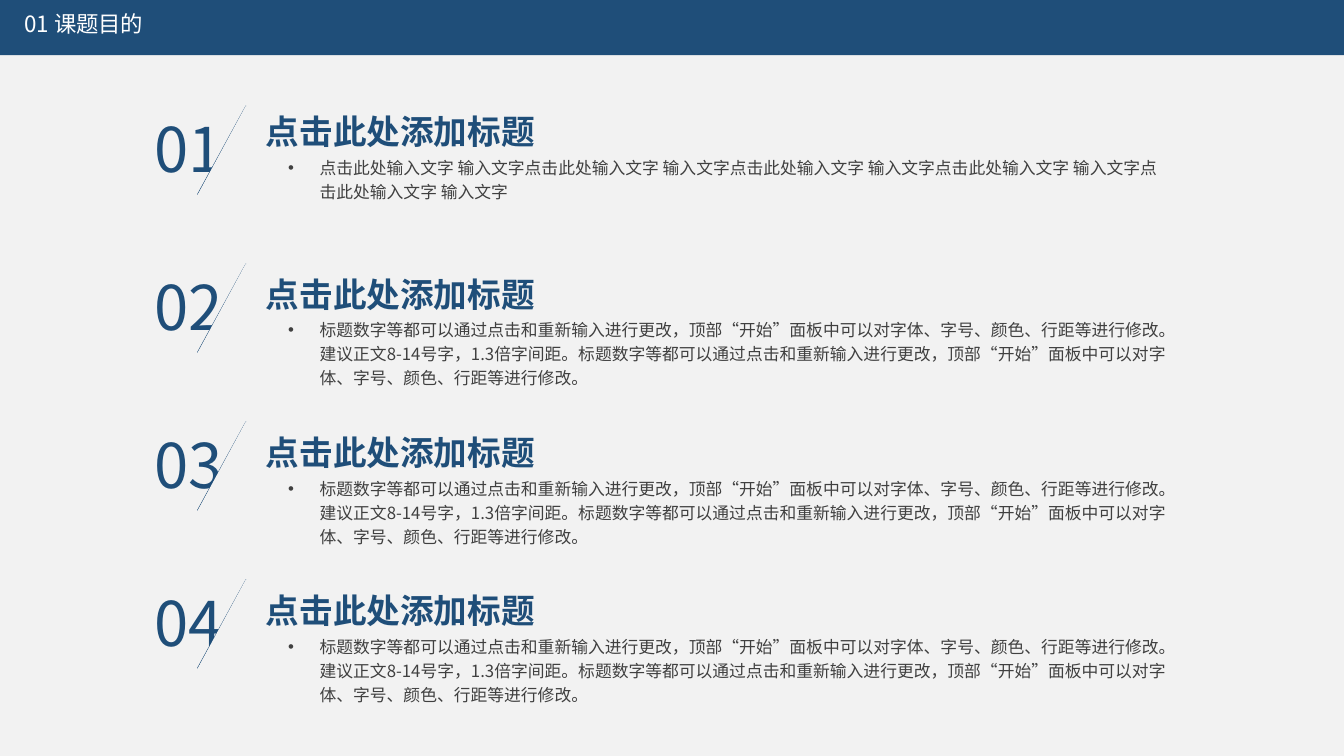
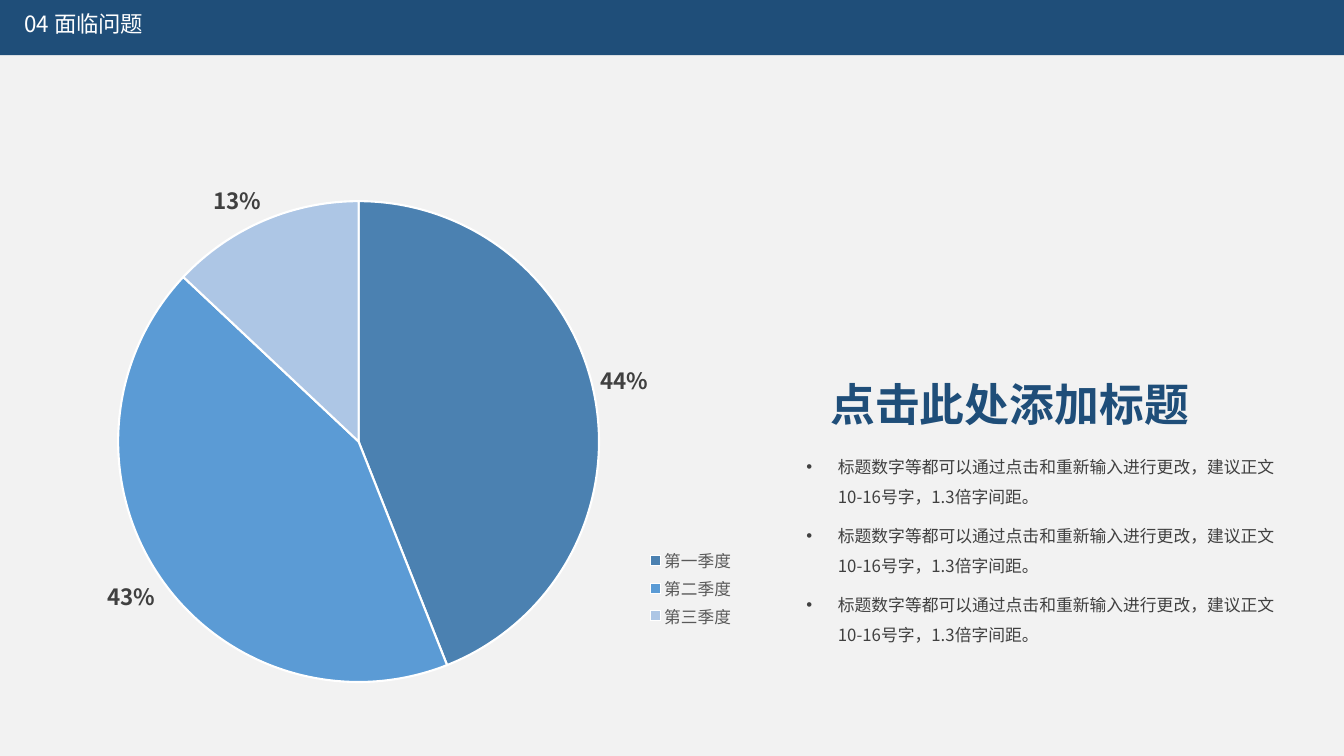
"""Build a two-slide research report deck: numbered goals and a quarterly pie chart."""
from dataclasses import dataclass
from math import cos, radians, sin

from lxml import etree
from pptx import Presentation
from pptx.chart.data import CategoryChartData
from pptx.dml.color import RGBColor
from pptx.enum.chart import XL_CHART_TYPE, XL_LABEL_POSITION, XL_LEGEND_POSITION
from pptx.enum.shapes import MSO_CONNECTOR, MSO_SHAPE
from pptx.enum.text import MSO_ANCHOR, MSO_AUTO_SIZE, PP_ALIGN
from pptx.oxml.ns import qn
from pptx.util import Pt

PIE = XL_CHART_TYPE.PIE
OUTSIDE_END = XL_LABEL_POSITION.OUTSIDE_END
LEGEND_RIGHT = XL_LEGEND_POSITION.RIGHT
STRAIGHT = MSO_CONNECTOR.STRAIGHT
RECTANGLE = MSO_SHAPE.RECTANGLE
TOP, MIDDLE = MSO_ANCHOR.TOP, MSO_ANCHOR.MIDDLE
FIT_SHAPE, NO_FIT = MSO_AUTO_SIZE.SHAPE_TO_FIT_TEXT, MSO_AUTO_SIZE.NONE
LEFT = PP_ALIGN.LEFT

WIDTH, HEIGHT = 960, 540
FONT = "Noto Sans CJK SC"
NAVY, PAPER, WHITE = "1F4E79", "F2F2F2", "FFFFFF"
INK, GREY = "404040", "595959"
BULLET_INDENT = 22.5
FIRST_TOP, ITEM_PITCH = 75.6, 112.8
MASK_ANGLE, MASK_HEIGHT = 28.4, 87.1
MASK_EDGE_LEFT, MASK_EDGE_DROP = 154.7, 38.4

HEADING = "点击此处添加标题"
INTRO = ("点击此处输入文字 输入文字点击此处输入文字 输入文字点击此处输入文字 "
         "输入文字点击此处输入文字 输入文字点击此处输入文字 输入文字")
GUIDE = "标题数字等都可以通过点击和重新输入进行更改，"
FORMATTING = "顶部“开始”面板中可以对字体、字号、颜色、行距等进行修改。"
DETAIL = f"{GUIDE}{FORMATTING}建议正文8-14号字，1.3倍字间距。{GUIDE}{FORMATTING}"
ADVICE = f"{GUIDE}建议正文10-16号字，1.3倍字间距。"


@dataclass(frozen=True)
class Goal:
    """A numbered goal, its text lift and the width of the mask that cuts its number."""
    text: str
    mask_width: float
    lift: float = 0


@dataclass(frozen=True)
class Quarter:
    """One slice of the pie."""
    name: str
    share: float
    color: str


GOALS = [Goal(INTRO, 31, 3.6), Goal(DETAIL, 26, 0.6),
         Goal(DETAIL, 35.3), Goal(DETAIL, 35.3)]
QUARTERS = [Quarter("第一季度", 0.44, "4B81B1"),
            Quarter("第二季度", 0.43, "5B9BD5"),
            Quarter("第三季度", 0.13, "ADC6E5")]


def rgb(color: str) -> RGBColor:
    """Turn a hex string into a colour."""
    return RGBColor.from_string(color)


def style_font(font, size: float, color: str, bold: bool = False) -> None:
    """Format one font."""
    font.name, font.size, font.bold = FONT, Pt(size), bold
    font.color.rgb = rgb(color)


def use_east_asian_font(element) -> None:
    """Repeat every Latin typeface as the East Asian typeface."""
    for latin in list(element.iter(qn("a:latin"))):
        east_asian = etree.Element(qn("a:ea"))
        east_asian.set("typeface", FONT)
        latin.addnext(east_asian)


def add_bullets(box) -> None:
    """Give every paragraph of a box a hanging bullet."""
    for para in box.element.iter(qn("a:p")):
        properties = para.get_or_add_pPr()
        properties.set("marL", str(Pt(BULLET_INDENT)))
        properties.set("indent", str(-Pt(BULLET_INDENT)))
        etree.SubElement(properties, qn("a:buFont")).set("typeface", "Arial")
        etree.SubElement(properties, qn("a:buChar")).set("char", "•")


def write_text(box, text: str, *, size: float, color: str, bold: bool = False,
               spacing: float = 1, gap: float = 0, bullet: bool = False,
               wrap: bool = True, anchor=TOP, fit=FIT_SHAPE) -> None:
    """Fill a box with one formatted paragraph per line of text."""
    frame = box.text_frame
    frame.text = text
    frame.word_wrap, frame.auto_size, frame.vertical_anchor = wrap, fit, anchor
    if bullet:
        add_bullets(box)
    for index, para in enumerate(frame.paragraphs):
        para.alignment, para.line_spacing = LEFT, spacing
        para.space_before = Pt(gap if index else 0)
        for span in para.runs:
            style_font(span.font, size, color, bold)
    use_east_asian_font(box.element)


def place(box, left: float, top: float, width: float, height: float):
    """Move and size a placeholder, in points."""
    box.left, box.top, box.width, box.height = map(Pt, (left, top, width, height))
    return box


def add_box(page, left: float, top: float, width: float, height: float):
    """Add an empty text box, in points."""
    return page.shapes.add_textbox(Pt(left), Pt(top), Pt(width), Pt(height))


def add_rectangle(page, left: float, top: float, width: float, height: float,
                  color: str):
    """Add a flat filled rectangle, in points."""
    shape = page.shapes.add_shape(RECTANGLE, Pt(left), Pt(top), Pt(width), Pt(height))
    shape.shadow.inherit = False
    shape.fill.solid()
    shape.fill.fore_color.rgb = rgb(color)
    shape.line.fill.background()
    return shape


def add_page(deck, layout_index: int, title: str):
    """Add a slide with its title in the header band."""
    page = deck.slides.add_slide(deck.slide_layouts[layout_index])
    write_text(place(page.shapes.title, 10.1, 6.5, 941, 23.8), title, size=16,
               color=WHITE, spacing=0.9, anchor=MIDDLE, fit=NO_FIT)
    return page


def style_master(deck, page) -> None:
    """Give the master its background and header band."""
    master = deck.slide_master
    master.background.fill.solid()
    master.background.fill.fore_color.rgb = rgb(PAPER)
    band = add_rectangle(page, 0, 0, WIDTH, 39.4, NAVY)
    master.shapes.element.insert(2, band.element)


def add_slash(page, top: float, mask_width: float) -> None:
    """Draw a slanted hairline and the mask along its right side."""
    line = page.shapes.add_connector(STRAIGHT, Pt(141), Pt(top + 63.4),
                                     Pt(175.7), Pt(top))
    line.line.color.rgb, line.line.width = rgb(NAVY), Pt(0.5)
    etree.SubElement(line.element.spPr, qn("a:effectLst"))
    angle = radians(MASK_ANGLE)
    center_x = MASK_EDGE_LEFT + mask_width / 2 * cos(angle)
    center_y = top + MASK_EDGE_DROP + mask_width / 2 * sin(angle)
    mask = add_rectangle(page, center_x - mask_width / 2, center_y - MASK_HEIGHT / 2,
                         mask_width, MASK_HEIGHT, PAPER)
    mask.rotation = 180 + MASK_ANGLE


def add_goal(page, index: int, goal: Goal) -> None:
    """Draw one numbered goal with heading and text."""
    top = FIRST_TOP + index * ITEM_PITCH
    write_text(add_box(page, 103, top, 66.2, 60.5), f"{index + 1:02}",
               size=44, color=NAVY, wrap=False)
    add_slash(page, top, goal.mask_width)
    text_top = top - goal.lift
    write_text(add_box(page, 182.9, text_top - 4.6, 208, 45.4), HEADING,
               size=24, color=NAVY, bold=True, spacing=1.3, wrap=False)
    write_text(add_box(page, 198.7, text_top + 34.3, 645.8, 59.8), goal.text,
               size=12, color=INK, spacing=1.2, bullet=True)


def make_layout(left: float, top: float, width: float, height: float,
                inner: bool = False):
    """Make a manual chart layout from fractions of the chart area."""
    layout = etree.Element(qn("c:layout"))
    manual = etree.SubElement(layout, qn("c:manualLayout"))
    values = {"xMode": "edge", "yMode": "edge", "x": left, "y": top,
              "w": width, "h": height}
    if inner:
        values = {"layoutTarget": "inner", **values}
    for name, value in values.items():
        etree.SubElement(manual, qn(f"c:{name}")).set("val", str(value))
    return layout


def add_pie(page) -> None:
    """Add the pie chart of quarterly shares."""
    data = CategoryChartData(number_format="0%")
    data.categories = [quarter.name for quarter in QUARTERS]
    data.add_series("Series 1", [quarter.share for quarter in QUARTERS])
    chart = page.shapes.add_chart(PIE, Pt(10.8), Pt(113.8), Pt(574.6), Pt(383),
                                  data).chart
    chart.has_title = False
    style_font(chart.font, 10, "000000")
    chart.has_legend = True
    chart.legend.position = LEGEND_RIGHT
    chart.legend.include_in_layout = False
    style_font(chart.legend.font, 11.9, GREY)

    plot = chart.plots[0]
    plot.vary_by_categories = True
    for index, quarter in enumerate(QUARTERS):
        slice_format = plot.series[0].points[index].format
        slice_format.fill.solid()
        slice_format.fill.fore_color.rgb = rgb(quarter.color)
        slice_format.line.color.rgb = rgb(WHITE)
        slice_format.line.width = Pt(1.5)
    labels = plot.series[0].data_labels
    labels.show_value, labels.show_percentage = True, False
    labels.number_format, labels.number_format_is_linked = "0%", False
    labels.position = OUTSIDE_END
    style_font(labels.font, 16, INK, bold=True)

    plot_area = chart.element.find(f".//{qn('c:plotArea')}")
    for layout in plot_area.findall(qn("c:layout")):
        plot_area.remove(layout)
    plot_area.insert(0, make_layout(0.128, 0.078, 0.598, 0.897, inner=True))
    legend = chart.element.find(f".//{qn('c:legend')}")
    for layout in legend.findall(qn("c:layout")):
        legend.remove(layout)
    legend.find(qn("c:legendPos")).addnext(make_layout(0.78, 0.72, 0.12, 0.16))
    use_east_asian_font(chart.element)


def main() -> None:
    """Build and save the deck."""
    deck = Presentation()
    deck.slide_width, deck.slide_height = Pt(WIDTH), Pt(HEIGHT)

    goals_page = add_page(deck, 5, "01 课题目的")
    style_master(deck, goals_page)
    for index, goal in enumerate(GOALS):
        add_goal(goals_page, index, goal)

    problems_page = add_page(deck, 1, "04 面临问题")
    add_pie(problems_page)
    write_text(add_box(problems_page, 586, 254.2, 272.9, 57.6), HEADING,
               size=32, color=NAVY, bold=True, spacing=1.3, wrap=False)
    write_text(place(problems_page.placeholders[1], 568.8, 315.4, 352.8, 150.5),
               "\n".join([ADVICE] * 3), size=12, color=INK, spacing=1.5, gap=6,
               bullet=True)
    deck.save("out.pptx")


if __name__ == "__main__":
    main()
